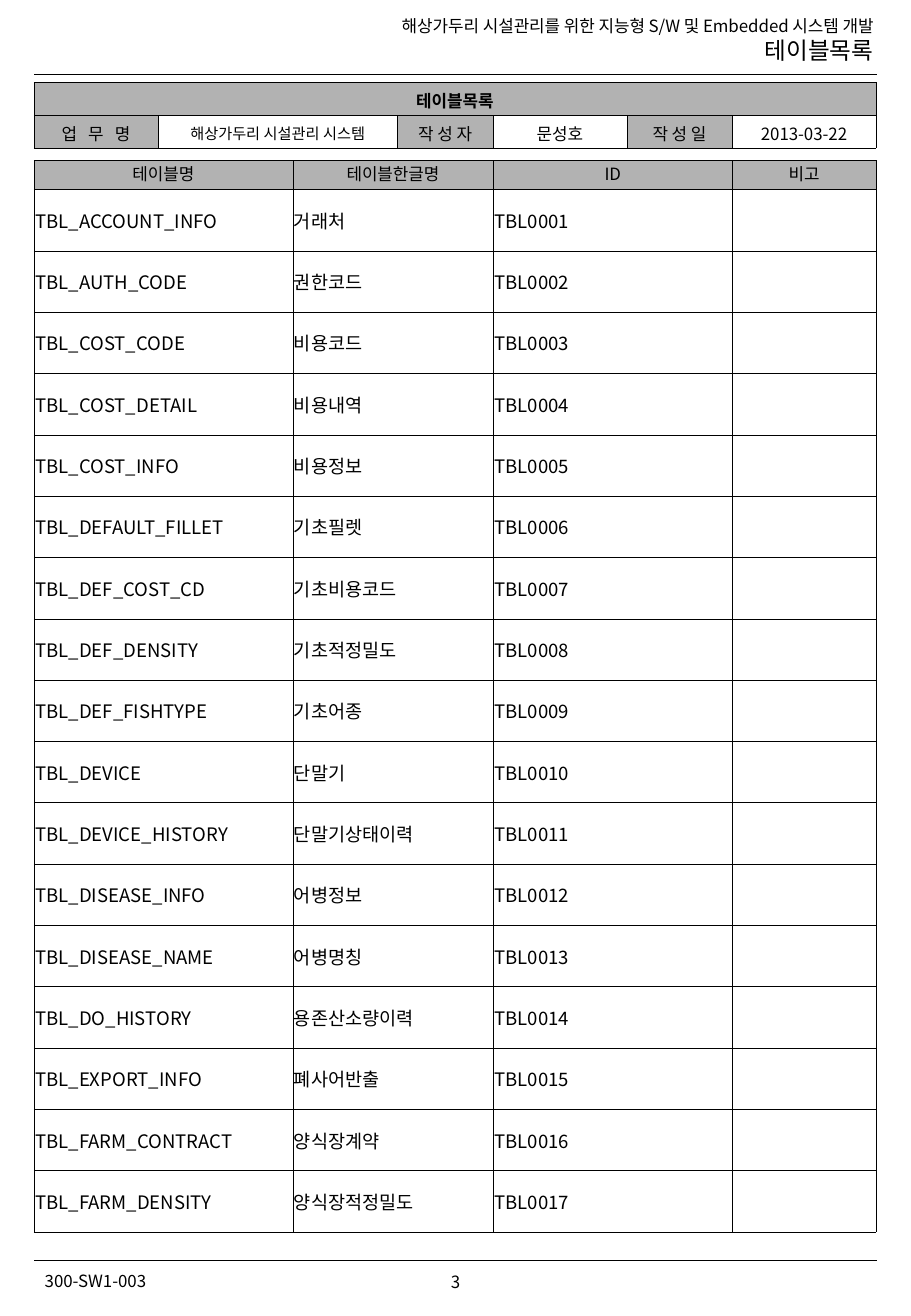
from dataclasses import dataclass, field

import pptx
import pptx.dml.color
import pptx.enum.shapes
import pptx.enum.text
import pptx.oxml.ns
import pptx.util
from lxml import etree

Inches, Pt = pptx.util.Inches, pptx.util.Pt
Align = pptx.enum.text.PP_ALIGN
Anchor = pptx.enum.text.MSO_ANCHOR
Fit = pptx.enum.text.MSO_AUTO_SIZE
qn = pptx.oxml.ns.qn

BLACK = pptx.dml.color.RGBColor(0x00, 0x00, 0x00)
GRAY = pptx.dml.color.RGBColor(0xB2, 0xB2, 0xB2)
FONT = "Noto Sans CJK KR"
LEFT, WIDTH = 0.28, 6.93

TABLES = [
    ("TBL_ACCOUNT_INFO", "거래처"),
    ("TBL_AUTH_CODE", "권한코드"),
    ("TBL_COST_CODE", "비용코드"),
    ("TBL_COST_DETAIL", "비용내역"),
    ("TBL_COST_INFO", "비용정보"),
    ("TBL_DEFAULT_FILLET", "기초필렛"),
    ("TBL_DEF_COST_CD", "기초비용코드"),
    ("TBL_DEF_DENSITY", "기초적정밀도"),
    ("TBL_DEF_FISHTYPE", "기초어종"),
    ("TBL_DEVICE", "단말기"),
    ("TBL_DEVICE_HISTORY", "단말기상태이력"),
    ("TBL_DISEASE_INFO", "어병정보"),
    ("TBL_DISEASE_NAME", "어병명칭"),
    ("TBL_DO_HISTORY", "용존산소량이력"),
    ("TBL_EXPORT_INFO", "폐사어반출"),
    ("TBL_FARM_CONTRACT", "양식장계약"),
    ("TBL_FARM_DENSITY", "양식장적정밀도"),
]


@dataclass
class Line:
    text: str
    size: float = 10
    bold: bool = False
    track: float = 0


@dataclass
class Label:
    box: tuple[float, float, float, float]
    lines: list[Line]
    frame: dict = field(default_factory=dict)
    align: Align = Align.CENTER


@dataclass
class Style:
    pad: tuple[float, float, float, float]
    align: Align = Align.CENTER
    lead: float = 1.0
    filled: bool = False


TITLE = Style((0.1, 0.03, 0.1, 0.01), filled=True)
VALUE = Style((0.1, 0.03, 0.1, 0.01))
HEAD = Style((0.02, 0.02, 0.02, 0.02), lead=0.8, filled=True)
BODY = Style((0.01, 0.05, 0.01, 0.05), Align.LEFT)


def margins(pad: tuple[float, float, float, float]) -> dict:
    sides = ("left", "top", "right", "bottom")
    return {f"margin_{side}": Inches(gap) for side, gap in zip(sides, pad)}


def apply(item, values: dict) -> None:
    for key, value in values.items():
        setattr(item, key, value)


def write(para, line: Line, align: Align, lead: float = 1.0) -> None:
    apply(para, {"alignment": align, "line_spacing": lead})
    run = para.add_run()
    run.text = line.text
    apply(run.font, {"name": FONT, "size": Pt(line.size), "bold": line.bold})
    run.font.color.rgb = BLACK
    props = run.font._element
    etree.SubElement(props, qn("a:ea"), typeface=FONT)
    if line.track:
        props.set("spc", str(int(line.track * 100)))


def label(slide, item: Label) -> None:
    frame = slide.shapes.add_textbox(*map(Inches, item.box)).text_frame
    apply(frame, margins((0.1, 0.05, 0.1, 0.05)) | {"word_wrap": False} | item.frame)
    for index, line in enumerate(item.lines):
        para = frame.add_paragraph() if index else frame.paragraphs[0]
        write(para, line, item.align)


def rule(slide, top: float) -> None:
    ends = map(Inches, (LEFT, top, 7.22, top))
    line = slide.shapes.add_connector(pptx.enum.shapes.MSO_CONNECTOR.STRAIGHT, *ends)
    line.line.color.rgb = BLACK
    line.line.width = Pt(0.25)
    etree.SubElement(line._element.spPr, qn("a:effectLst"))


def border(cell) -> None:
    props = cell._tc.get_or_add_tcPr()
    for index, side in enumerate("LRTB"):
        edge = etree.Element(qn(f"a:ln{side}"), w=str(Pt(0.11)))
        fill = etree.SubElement(edge, qn("a:solidFill"))
        etree.SubElement(fill, qn("a:srgbClr"), val=str(BLACK))
        props.insert(index, edge)


def fill(cell, line: Line | None, style: Style) -> None:
    apply(cell, margins(style.pad) | {"vertical_anchor": Anchor.MIDDLE})
    if style.filled:
        cell.fill.solid()
        cell.fill.fore_color.rgb = GRAY
    else:
        cell.fill.background()
    border(cell)
    if line:
        write(cell.text_frame.paragraphs[0], line, style.align, style.lead)


def grid(slide, top: float, cols: list[float], rows: list[float]):
    box = map(Inches, (LEFT, top, WIDTH, sum(rows)))
    table = slide.shapes.add_table(len(rows), len(cols), *box).table
    apply(table, {"first_row": False, "horz_banding": False})
    for col, width in zip(table.columns, cols):
        col.width = Inches(width)
    for row, height in zip(table.rows, rows):
        row.height = Inches(height)
    return table


def main() -> None:
    deck = pptx.Presentation()
    apply(deck, {"slide_width": Inches(7.5), "slide_height": Inches(10.84)})
    slide = deck.slides.add_slide(deck.slide_layouts[6])

    # Page header and footer
    label(slide, Label(
        (0.28, 0.08, 7.01, 0.5),
        [Line("해상가두리 시설관리를 위한 지능형 S/W 및 Embedded 시스템 개발"),
         Line("테이블목록", 14)],
        {"word_wrap": True, "auto_size": Fit.SHAPE_TO_FIT_TEXT}, Align.RIGHT))
    label(slide, Label((0.26, 10.42, 1.05, 0.27), [Line("300-SW1-003")],
                       {"auto_size": Fit.SHAPE_TO_FIT_TEXT}))
    label(slide, Label((3.34, 10.34, 0.82, 0.44), [Line("3")],
                       margins((0, 0, 0, 0)) | {"vertical_anchor": Anchor.MIDDLE}))
    for top in (0.61, 10.38):
        rule(slide, top)

    # Document details
    info = grid(slide, 0.68, [1.02, 1.97, 0.79, 1.1, 0.87, 1.18], [0.27, 0.27])
    info.cell(0, 0).merge(info.cell(0, 5))
    for col in range(6):
        fill(info.cell(0, col), None if col else Line("테이블목록", bold=True), TITLE)
    facts = [Line("업 무 명", track=2.2), Line("해상가두리 시설관리 시스템", 9),
             Line("작 성 자"), Line("문성호"), Line("작 성 일"), Line("2013-03-22")]
    for col, line in enumerate(facts):
        fill(info.cell(1, col), line, VALUE if col % 2 else TITLE)

    # List of tables
    step = (8.83 - 0.24) / len(TABLES)
    main_grid = grid(slide, 1.32, [2.13, 1.65, 1.97, 1.18], [0.24] + [step] * len(TABLES))
    for col, text in enumerate(("테이블명", "테이블한글명", "ID", "비고")):
        fill(main_grid.cell(0, col), Line(text), HEAD)
    for row, (name, title) in enumerate(TABLES, 1):
        for col, text in enumerate((name, title, f"TBL{row:04}", "")):
            fill(main_grid.cell(row, col), Line(text, 11) if text else None, BODY)

    deck.save("out.pptx")


if __name__ == "__main__":
    main()
